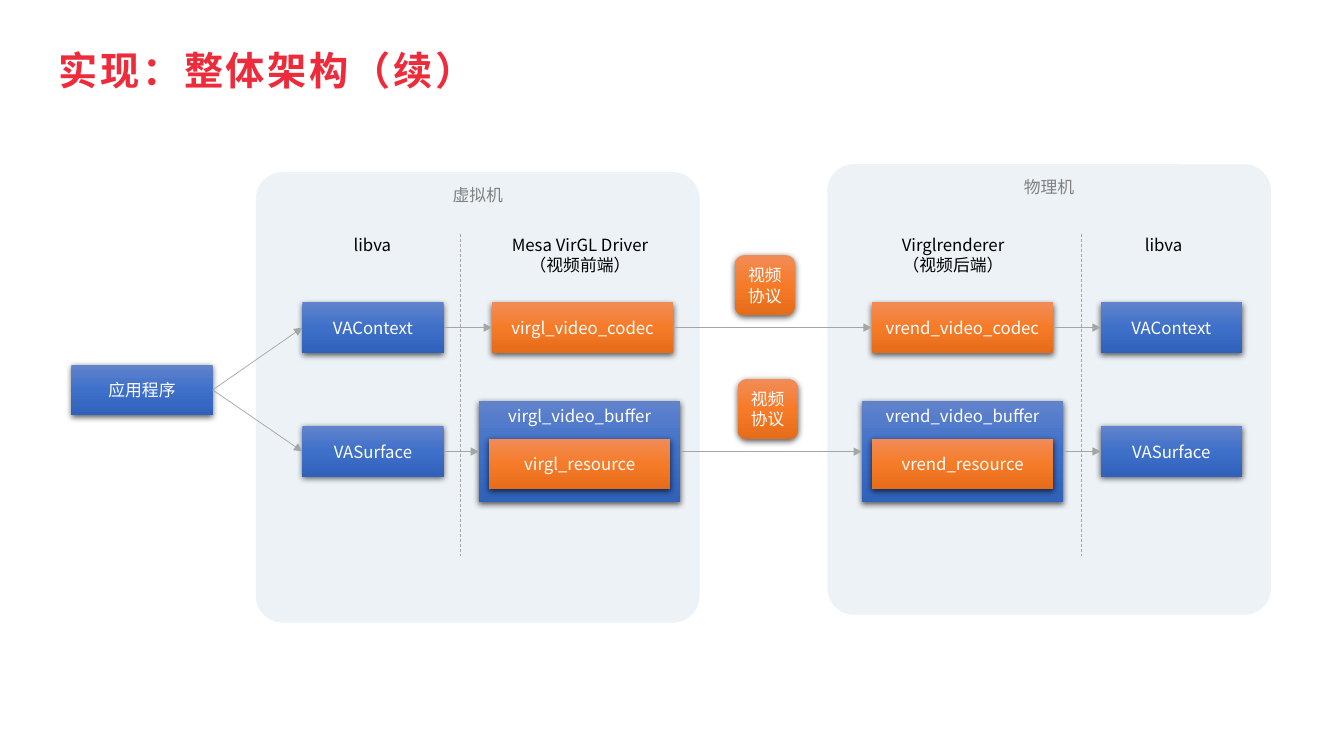
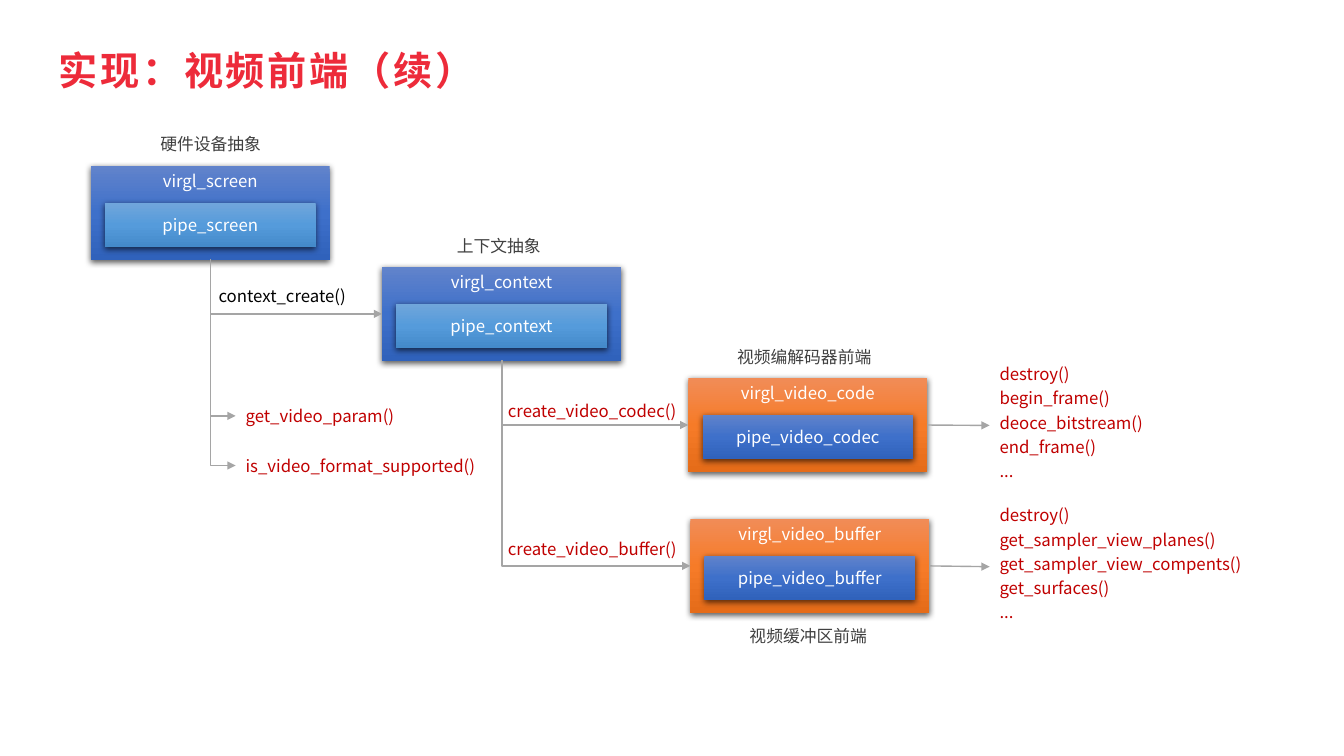
from dataclasses import dataclass

from lxml import etree
from pptx import Presentation
from pptx.dml.color import RGBColor
from pptx.enum.dml import MSO_LINE
from pptx.enum.shapes import MSO_CONNECTOR, MSO_SHAPE
from pptx.enum.text import MSO_ANCHOR, MSO_AUTO_SIZE, PP_ALIGN
from pptx.oxml.ns import qn
from pptx.util import Cm, Pt

RECTANGLE, ROUNDED = MSO_SHAPE.RECTANGLE, MSO_SHAPE.ROUNDED_RECTANGLE
STRAIGHT, ELBOW = MSO_CONNECTOR.STRAIGHT, MSO_CONNECTOR.ELBOW
LEFT, CENTER = PP_ALIGN.LEFT, PP_ALIGN.CENTER
TOP, MIDDLE = MSO_ANCHOR.TOP, MSO_ANCHOR.MIDDLE
DASH, FIT_TEXT = MSO_LINE.DASH, MSO_AUTO_SIZE.SHAPE_TO_FIT_TEXT
LEFT_SITE, RIGHT_SITE = 1, 3


@dataclass(frozen=True)
class Theme:
    font: str = "Noto Sans CJK SC"
    title_size: int = 28
    body_size: int = 12
    title: str = "ED2B3A"
    panel: str = "EDF2F7"
    panel_text: str = "808080"
    on_fill: str = "FFFFFF"
    text: str = "000000"
    caption: str = "404040"
    call: str = "C00000"
    line: str = "A5A5A5"
    shadow: str = "000000"
    blue: tuple = ("6183CB", "3E70CA", "3062BB")
    orange: tuple = ("F18C57", "F67B28", "E56C19")
    sky: tuple = ("71A6DB", "559BDB", "448ACA")


THEME = Theme()


def add_xml(parent, tag, **attributes):
    return etree.SubElement(parent, qn(tag), {key: str(value) for key, value in attributes.items()})


class Deck:
    def __init__(self):
        self.presentation = Presentation()
        self.presentation.slide_width = Cm(33.87)
        self.presentation.slide_height = Cm(19.05)
        self.slide = None

    def new_slide(self, title):
        self.slide = self.presentation.slides.add_slide(self.presentation.slide_layouts[6])
        self.text([title], 1.22, 1.04, 11.1, 1.45, THEME.title, size=THEME.title_size,
                  bold=True, tracking=200, padded=True, wrap=False)

    def add_lines(self, shape, lines, color, align, anchor, inset=(0, 0),
                  size=THEME.body_size, bold=False, tracking=0, spacing=None):
        """Fill a shape with one paragraph per line; inset is (side, top) in cm."""
        frame = shape.text_frame
        frame.word_wrap = True
        frame.vertical_anchor = anchor
        frame.margin_left = frame.margin_right = Cm(inset[0])
        frame.margin_top = frame.margin_bottom = Cm(inset[1])
        for index, line in enumerate(lines):
            paragraph = frame.add_paragraph() if index else frame.paragraphs[0]
            paragraph.alignment = align
            if spacing:
                paragraph.line_spacing = spacing
            run = paragraph.add_run()
            run.text = line
            run.font.size = Pt(size)
            run.font.bold = bold
            run.font.color.rgb = RGBColor.from_string(color)
            run.font.name = THEME.font
            properties = run.font._element
            add_xml(properties, "a:ea", typeface=THEME.font)
            if tracking:
                properties.set("spc", str(tracking))

    def text(self, lines, left, top, width, height, color, align=LEFT, anchor=MIDDLE,
             padded=False, wrap=True, **style):
        shape = self.slide.shapes.add_textbox(Cm(left), Cm(top), Cm(width), Cm(height))
        inset = (0.25, 0.13) if padded else (0, 0)
        self.add_lines(shape, lines, color, align, anchor, inset, **style)
        if not wrap:
            shape.text_frame.word_wrap = False
            shape.text_frame.auto_size = FIT_TEXT
        return shape

    def panel(self, label, left, top):
        shape = self.slide.shapes.add_shape(ROUNDED, Cm(left), Cm(top), Cm(11.18), Cm(11.35))
        shape.adjustments[0] = 0.06
        shape.shadow.inherit = False
        shape.fill.solid()
        shape.fill.fore_color.rgb = RGBColor.from_string(THEME.panel)
        shape.line.fill.background()
        self.add_lines(shape, [label], THEME.panel_text, CENTER, TOP, (0.25, 0.13))

    def box(self, lines, left, top, width, height, gradient, kind=RECTANGLE,
            anchor=MIDDLE, inset=(0, 0), shapes=None):
        shapes = shapes or self.slide.shapes
        shape = shapes.add_shape(kind, Cm(left), Cm(top), Cm(width), Cm(height))
        shape.line.fill.background()
        self.shade(shape, gradient)
        self.add_lines(shape, lines, THEME.on_fill, CENTER, anchor, inset)
        return shape

    def shade(self, shape, gradient):
        """Give a shape a three-stop vertical gradient and a soft shadow below."""
        shape.fill.gradient()
        shape.fill.gradient_angle = 270
        shape.shadow.inherit = False
        properties = shape.element.spPr
        stops = properties.find(f"{qn('a:gradFill')}/{qn('a:gsLst')}")
        for stop in list(stops):
            stops.remove(stop)
        for index, color in enumerate(gradient):
            stop = add_xml(stops, "a:gs", pos=index * 50000)
            add_xml(stop, "a:srgbClr", val=color)
        shadow = add_xml(properties.find(qn("a:effectLst")), "a:outerShdw", blurRad=int(Pt(4.5)),
                         dist=int(Pt(1.5)), dir=5400000, algn="ctr", rotWithShape=0)
        add_xml(add_xml(shadow, "a:srgbClr", val=THEME.shadow), "a:alpha", val=63000)

    def nested(self, outer, inner, left, top, size, inner_size, gradients):
        """Group a titled box with a smaller box centred near its bottom edge."""
        shapes = self.slide.shapes.add_group_shape().shapes
        (width, height), (inner_width, inner_height) = size, inner_size
        shape = self.box([outer], left, top, width, height, gradients[0],
                         anchor=TOP, inset=(0, 0.12), shapes=shapes)
        self.box([inner], left + (width - inner_width) / 2, top + height - 0.32 - inner_height,
                 inner_width, inner_height, gradients[1], shapes=shapes)
        return shape

    def line(self, kind, start, end, weight, arrow=True):
        connector = self.slide.shapes.add_connector(kind, *start, *end)
        connector.line.color.rgb = RGBColor.from_string(THEME.line)
        connector.line.width = Pt(weight)
        properties = connector.element.spPr
        if arrow:
            add_xml(properties.find(qn("a:ln")), "a:tailEnd", type="triangle")
        add_xml(properties, "a:effectLst")
        return connector

    def divider(self, x):
        connector = self.line(STRAIGHT, (Cm(x), Cm(5.89)), (Cm(x), Cm(14)), 0.5, arrow=False)
        connector.line.dash_style = DASH

    def arrow(self, source, target, weight):
        """Join the right side of one shape to the left side of another."""
        start = (source.left + source.width, source.top + source.height // 2)
        end = (target.left, target.top + target.height // 2)
        connector = self.line(STRAIGHT, start, end, weight)
        connector.begin_connect(source, RIGHT_SITE)
        connector.end_connect(target, LEFT_SITE)

    def branch(self, source, target):
        """Run down from the bottom of one shape, then right into another."""
        start = (source.left + source.width // 2, source.top + source.height)
        end = (target.left, target.top + target.height // 2)
        connector = self.line(ELBOW, start, end, 1)
        geometry = connector.element.spPr.find(qn("a:prstGeom"))
        guides = geometry.find(qn("a:avLst"))
        if guides is None:
            guides = add_xml(geometry, "a:avLst")
        add_xml(guides, "a:gd", name="adj1", fmla="val 200")


def architecture(deck):
    deck.new_slide("实现：整体架构（续）")
    deck.panel("物理机", 20.85, 4.14)
    deck.panel("虚拟机", 6.45, 4.34)

    context_top, surface_top = 7.62, 10.74
    small, wide = (3.56, 1.27), (4.57, 1.27)
    application = deck.box(["应用程序"], 1.8, 9.19, *small, THEME.blue)
    rows = []
    for name, top in (("VAContext", context_top), ("VASurface", surface_top)):
        rows.append([deck.box([name], left, top, *small, THEME.blue) for left in (7.62, 27.74)])
    codecs = [deck.box([f"{prefix}_video_codec"], left, context_top, *wide, THEME.orange)
              for prefix, left in (("virgl", 12.4), ("vrend", 21.97))]
    buffers = [deck.nested(f"{prefix}_video_buffer", f"{prefix}_resource", left, 10.11,
                           (5.08, 2.54), wide, (THEME.blue, THEME.orange))
               for prefix, left in (("virgl", 12.07), ("vrend", 21.72))]
    for left, top in ((18.52, 6.43), (18.59, 9.55)):
        deck.box(["视频", "协议"], left, top, 1.52, 1.52, THEME.orange, ROUNDED)

    for (guest, host), (front, back) in zip(rows, (codecs, buffers)):
        chain = [application, guest, front, back, host]
        for source, target in zip(chain, chain[1:]):
            deck.arrow(source, target, 0.5)

    for x in (11.61, 27.25):
        deck.divider(x)
    headings = (
        (["libva"], 8.66, 1.45),
        (["Mesa VirGL Driver", "（视频前端）"], 12.55, 4.14),
        (["Virglrenderer", "（视频后端）"], 22.43, 3.18),
        (["libva"], 28.6, 1.45),
    )
    for lines, left, width in headings:
        deck.text(lines, left, 5.79, width, 0.25 + 0.51 * len(lines), THEME.text, CENTER, TOP,
                  padded=True, wrap=False)


def video_front_end(deck):
    deck.new_slide("实现：视频前端（续）")
    blue_node, orange_node = (THEME.blue, THEME.sky), (THEME.orange, THEME.blue)
    nodes = (
        ("virgl_screen", "pipe_screen", 2.29, 4.19, blue_node),
        ("virgl_context", "pipe_context", 9.63, 6.73, blue_node),
        ("virgl_video_code", "pipe_video_codec", 17.35, 9.53, orange_node),
        ("virgl_video_buffer", "pipe_video_buffer", 17.4, 13.08, orange_node),
    )
    screen, context, codec, buffer = [
        deck.nested(outer, inner, left, top, (6.02, 2.36), (5.31, 1.12), gradients)
        for outer, inner, left, top, gradients in nodes]

    captions = (
        ("硬件设备抽象", 2.77, 3.25),
        ("上下文抽象", 10.03, 5.82),
        ("视频编解码器前端", 17.73, 8.61),
        ("视频缓冲区前端", 17.83, 15.65),
    )
    for caption, left, top in captions:
        deck.text([caption], left, top, 5.08, 0.76, THEME.caption, CENTER)

    deck.text(["context_create()"], 5.51, 7.21, 3.89, 0.51, THEME.text)
    for call, top in (("create_video_codec()", 9.96), ("create_video_buffer()", 13.46)):
        deck.text([call], 12.8, top, 4.57, 0.76, THEME.call)
    queries = [deck.text([call], 5.94, top, 6.35, 0.84, THEME.call, padded=True)
               for call, top in (("get_video_param()", 10.06),
                                 ("is_video_format_supported()", 11.31))]

    operations = (
        (codec, 8.94, ["destroy()", "begin_frame()", "deoce_bitstream()", "end_frame()", "..."]),
        (buffer, 12.5, ["destroy()", "get_sampler_view_planes()", "get_sampler_view_compents()",
                        "get_surfaces()", "..."]),
    )
    for node, top, calls in operations:
        listing = deck.text(calls, 24.94, top, 6.86, 3.56, THEME.call, anchor=TOP,
                            padded=True, spacing=1.2)
        deck.arrow(node, listing, 1)
    for source, targets in ((screen, [context, *queries]), (context, [codec, buffer])):
        for target in targets:
            deck.branch(source, target)


def main():
    deck = Deck()
    architecture(deck)
    video_front_end(deck)
    deck.presentation.save("out.pptx")


if __name__ == "__main__":
    main()
